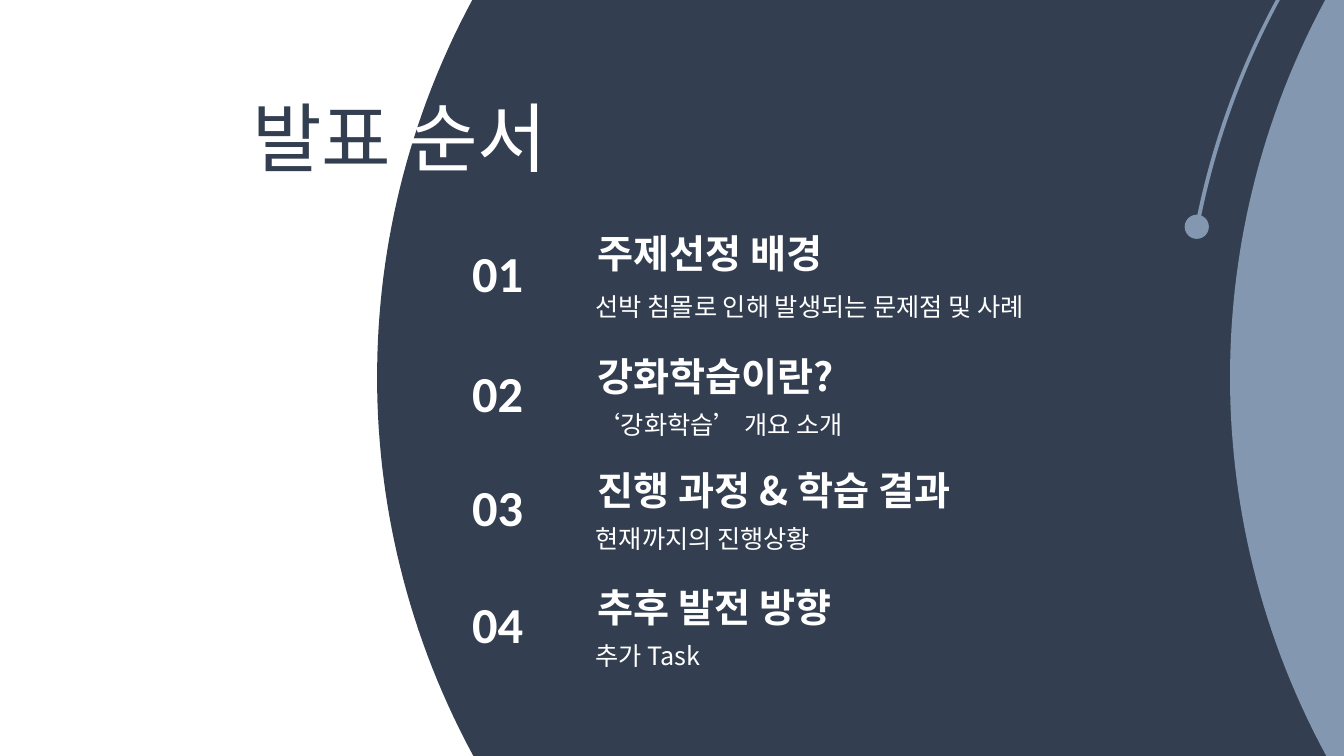
"""Build the agenda slide with its sweeping arcs and four numbered topics."""
from math import sqrt

from lxml.etree import SubElement
from pptx import Presentation
from pptx.dml.color import RGBColor as Rgb
from pptx.enum.shapes import MSO_SHAPE as Shape
from pptx.enum.text import MSO_ANCHOR as Anchor, MSO_AUTO_SIZE as Auto, PP_ALIGN as Align
from pptx.oxml.ns import qn
from pptx.util import Inches, Pt

TITLE = [("발표", "navy"), (" 순서", "white")]
TOPICS = [
    ("01", "주제선정 배경", "선박 침몰로 인해 발생되는 문제점 및 사례"),
    ("02", "강화학습이란?", "‘강화학습’ 개요 소개"),
    ("03", "진행 과정 & 학습 결과", "현재까지의 진행상황"),
    ("04", "추후 발전 방향", "추가 Task"),
]
ROWS = [(2.35, 2.23, 2.84), (3.54, 3.45, 4.01), (4.67, 4.58, 5.14), (5.83, 5.74, 6.3)]
KOREAN = "Noto Sans CJK KR"
THEME = {
    "navy": Rgb.from_string("333F50"),
    "steel": Rgb.from_string("8497B0"),
    "white": Rgb.from_string("FFFFFF"),
    "title": {"name": KOREAN, "size": Pt(54), "bold": False},
    "num": {"name": "Calibri", "size": Pt(36), "bold": True},
    "head": {"name": KOREAN, "size": Pt(28), "bold": True},
    "sub": {"name": KOREAN, "size": Pt(18), "bold": False},
}
PARTS = [
    ("num", 4.41, 1.05, 0.71, 0.12, Align.CENTER),
    ("head", 5.81, 4.93, 0.57, 0.12, Align.LEFT),
    ("sub", 5.81, 4.93, 0.4, 0.1, Align.LEFT),
]
WIDE, HIGH = 13.33, 7.5
RADIUS, MIDDLE, STEPS = 7.88, 3.74, 60


def assign(item, values):
    for key, value in values.items():
        setattr(item, key, value)


def paint(shape, color):
    shape.shadow.inherit = False
    shape.fill.solid()
    shape.fill.fore_color.rgb = THEME[color]
    shape.line.fill.background()


def arc(left, low):
    ys = [low * i / STEPS for i in range(STEPS + 1)]
    return [(left + RADIUS - sqrt(RADIUS**2 - (y - MIDDLE)**2), y) for y in ys]


def outline(slide, points, color):
    spots = [(Inches(x), Inches(y)) for x, y in points]
    pen = slide.shapes.build_freeform(*spots[0])
    pen.add_line_segments(spots[1:], close=True)
    paint(pen.convert_to_shape(), color)


def write(shape, runs, style, align, inset, anchor):
    frame = shape.text_frame
    assign(frame, {
        "word_wrap": True, "auto_size": Auto.NONE, "vertical_anchor": anchor,
        "margin_left": Inches(inset), "margin_right": Inches(inset),
        "margin_top": Inches(0.05), "margin_bottom": Inches(0.05),
    })
    para = frame.paragraphs[0]
    para.alignment = align
    for text, color in runs:
        run = para.add_run()
        run.text = text
        assign(run.font, THEME[style])
        run.font.color.rgb = THEME[color]
        SubElement(run.font._element, qn("a:ea")).set("typeface", THEME[style]["name"])


def main():
    deck = Presentation()
    assign(deck, {"slide_width": Inches(WIDE), "slide_height": Inches(HIGH)})
    slide = deck.slides.add_slide(deck.slide_layouts[5])

    for left, color in [(3.74, "navy"), (12.2, "steel")]:
        outline(slide, arc(left, HIGH) + [(WIDE, HIGH), (WIDE, 0)], color)
    outline(slide, arc(11.71, 2.23) + arc(11.75, 2.23)[::-1], "steel")
    dot = slide.shapes.add_shape(
        Shape.OVAL, Inches(11.75), Inches(2.13), Inches(0.24), Inches(0.24))
    paint(dot, "steel")

    for texts, tops in zip(TOPICS, ROWS):
        for text, top, (style, left, width, height, inset, align) in zip(texts, tops, PARTS):
            box = slide.shapes.add_textbox(*map(Inches, (left, top, width, height)))
            write(box, [(text, "white")], style, align, inset, Anchor.TOP)

    title = slide.shapes.title
    assign(title, {"left": Inches(2.4), "top": Inches(0.85),
                   "width": Inches(6.96), "height": Inches(1.01)})
    write(title, TITLE, "title", Align.LEFT, 0.1, Anchor.MIDDLE)
    title.element.getparent().append(title.element)
    deck.save("out.pptx")


if __name__ == "__main__":
    main()
